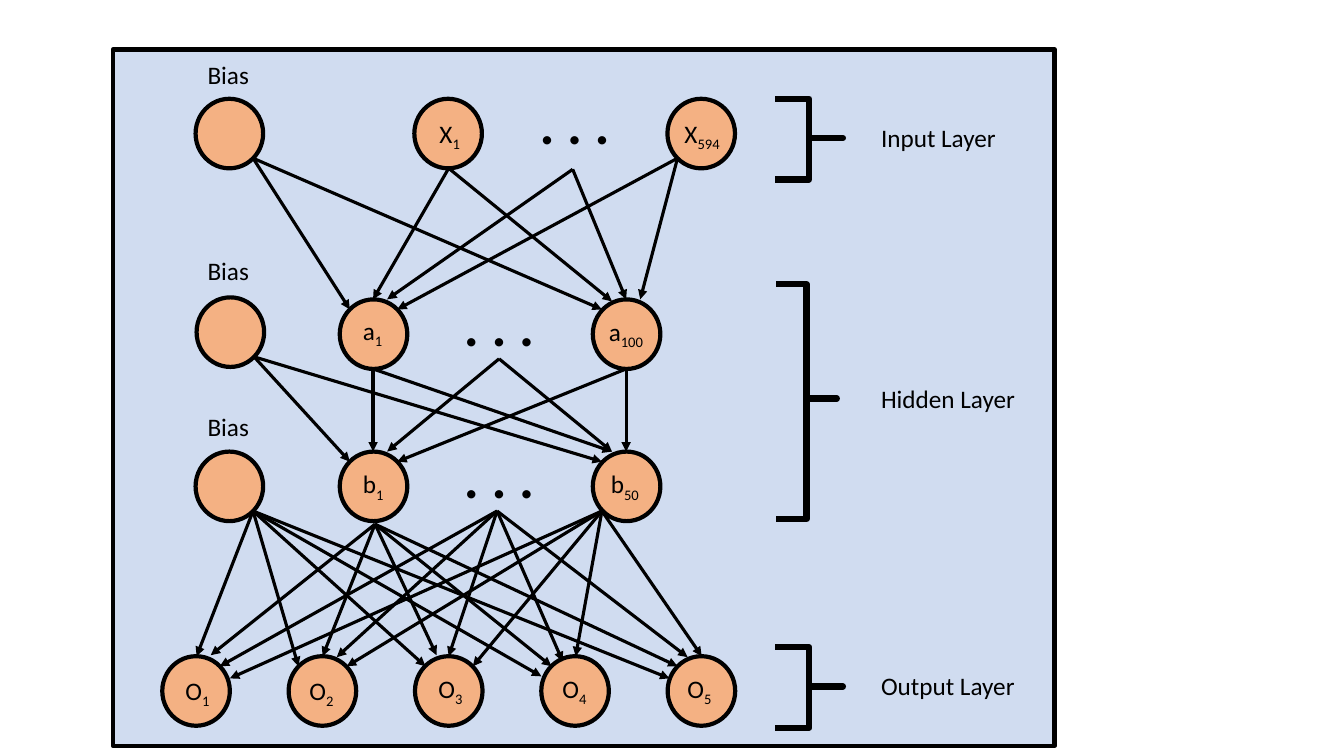
from lxml import etree
from pptx import Presentation
from pptx.dml.color import RGBColor
from pptx.enum.shapes import MSO_CONNECTOR, MSO_SHAPE
from pptx.enum.text import MSO_ANCHOR, PP_ALIGN
from pptx.oxml.ns import qn
from pptx.util import Inches, Pt

STRAIGHT = MSO_CONNECTOR.STRAIGHT
RECTANGLE, OVAL, BRACE = MSO_SHAPE.RECTANGLE, MSO_SHAPE.OVAL, MSO_SHAPE.RIGHT_BRACE
MIDDLE, CENTER = MSO_ANCHOR.MIDDLE, PP_ALIGN.CENTER

THEME = {
    "font": "Calibri",
    "ink": RGBColor(0, 0, 0),
    "panel": RGBColor(0x8F, 0xAA, 0xDC),
    "panel_alpha": 41,
    "neuron": RGBColor(0xF4, 0xB1, 0x83),
    "label_size": Pt(18),
    "dots_size": Pt(40),
    "outline": Pt(3),
    "arrow": Pt(2.25),
    "bracket": Pt(4.5),
}

prs = Presentation()
prs.slide_width, prs.slide_height = Inches(13.33), Inches(7.5)
shapes = prs.slides.add_slide(prs.slide_layouts[6]).shapes


def add_figure(kind, left, top, width, height, fill=None, line=None):
    """Add a shadowless preset shape; no fill or no line where None is given."""
    figure = shapes.add_shape(kind, Inches(left), Inches(top), Inches(width), Inches(height))
    figure.shadow.inherit = False
    if fill is None:
        figure.fill.background()
    else:
        figure.fill.solid()
        figure.fill.fore_color.rgb = fill
    if line is None:
        figure.line.fill.background()
    else:
        figure.line.color.rgb = THEME["ink"]
        figure.line.width = line
    return figure


def add_label(left, top, width, text, subscript=""):
    """Add a one-line label, with an optional subscript."""
    box = shapes.add_textbox(Inches(left), Inches(top), Inches(width), Inches(0.4))
    box.text_frame.word_wrap = True
    paragraph = box.text_frame.paragraphs[0]
    paragraph.font.name = THEME["font"]
    paragraph.font.size = THEME["label_size"]
    paragraph.font.color.rgb = THEME["ink"]
    paragraph.add_run().text = text
    if subscript:
        index = paragraph.add_run()
        index.text = subscript
        index._r.get_or_add_rPr().set("baseline", "-25000")


# Panel behind the network
panel = add_figure(RECTANGLE, 1.12, 0.49, 9.34, 6.91, THEME["panel"], THEME["outline"])
panel_color = panel.fill._xPr.find(qn("a:solidFill"))[0]
etree.SubElement(panel_color, qn("a:alpha")).set("val", str(THEME["panel_alpha"] * 1000))

# Neurons: row top -> left edges
NEURON_W, NEURON_H = 0.67, 0.69
output_lefts = [1.61 + 1.253 * i for i in range(5)]
neuron_rows = {
    0.98: [1.94, 4.11, 6.62],
    2.95: [1.95],
    2.97: [3.37, 5.88],
    4.48: [1.94, 3.37, 5.88],
    6.51: output_lefts,
}
for top, lefts in neuron_rows.items():
    for left in lefts:
        add_figure(OVAL, left, top, NEURON_W, NEURON_H, THEME["neuron"], THEME["outline"])

# Ellipses standing for the neurons left out
for left, top in [(4.88, 0.87), (4.13, 2.87), (4.13, 4.38)]:
    dots = add_figure(OVAL, left, top, 1.64, 0.69)
    dots.text_frame.vertical_anchor = MIDDLE
    paragraph = dots.text_frame.paragraphs[0]
    paragraph.text = ". . ."
    paragraph.alignment = CENTER
    paragraph.font.name = THEME["font"]
    paragraph.font.size = THEME["dots_size"]
    paragraph.font.bold = True
    paragraph.font.color.rgb = THEME["ink"]

# Connections: source point -> target points in the next layer
connections = {
    # input to first hidden
    (2.51, 1.57): [(3.47, 3.07), (5.97, 3.07)],
    (4.45, 1.67): [(3.7, 2.97), (6.07, 2.99)],
    (5.68, 1.68): [(3.84, 2.97), (6.21, 2.97)],
    (6.72, 1.57): [(3.94, 3.07), (6.35, 2.97)],
    # first hidden to second hidden
    (2.52, 3.54): [(3.47, 4.58), (5.97, 4.58)],
    (3.7, 3.66): [(3.7, 4.48), (6.07, 4.48)],
    (4.95, 3.56): [(3.84, 4.48), (6.07, 4.48)],
    (6.21, 3.66): [(3.94, 4.58), (6.21, 4.48)],
    # second hidden to output
    (2.51, 5.07): [(1.95, 6.51), (2.96, 6.61), (4.22, 6.61), (5.37, 6.71), (6.64, 6.73)],
    (3.72, 5.2): [(2.09, 6.5), (3.2, 6.51), (4.33, 6.5), (5.47, 6.61), (6.72, 6.61)],
    (4.93, 5.07): [(2.18, 6.61), (3.34, 6.52), (4.45, 6.51), (5.58, 6.56), (6.82, 6.52)],
    (5.97, 5.07): [(2.28, 6.73), (3.44, 6.61), (4.69, 6.61), (5.71, 6.51), (6.96, 6.51)],
}
for source, targets in connections.items():
    for target in targets:
        arrow = shapes.add_connector(STRAIGHT, *(Inches(v) for v in source + target))
        arrow.line.color.rgb = THEME["ink"]
        arrow.line.width = THEME["arrow"]
        etree.SubElement(arrow.line._get_or_add_ln(), qn("a:tailEnd")).set("type", "triangle")
        etree.SubElement(arrow._element.spPr, qn("a:effectLst"))

# Neuron labels
for top in (0.54, 2.48, 4.03):
    add_label(1.96, top, 0.79, "Bias")
for left, top, width, letter, index in [
    (4.26, 1.12, 0.49, "X", "1"),
    (6.69, 1.12, 0.62, "X", "594"),
    (3.5, 3.08, 0.49, "a", "1"),
    (5.94, 3.09, 0.6, "a", "100"),
    (3.5, 4.6, 0.6, "b", "1"),
    (5.96, 4.6, 0.6, "b", "50"),
    (1.74, 6.65, 0.49, "O", "1"),
    (2.97, 6.65, 0.49, "O", "2"),
    (4.25, 6.63, 0.49, "O", "3"),
    (5.48, 6.63, 0.49, "O", "4"),
    (6.72, 6.63, 0.49, "O", "5"),
]:
    add_label(left, top, width, letter, index)

# Layer brackets and names
for name, left, top, width, height, name_top in [
    ("Input Layer", 7.69, 0.98, 0.67, 0.8, 1.16),
    ("Hidden Layer", 7.7, 2.82, 0.6, 2.33, 3.75),
    ("Output Layer", 7.69, 6.42, 0.67, 0.8, 6.6),
]:
    bracket = add_figure(BRACE, left, top, width, height, line=THEME["bracket"])
    bracket.adjustments[0] = 0
    bracket.adjustments[1] = 0.487
    add_label(8.64, name_top, 2.34, name)

prs.save("out.pptx")
